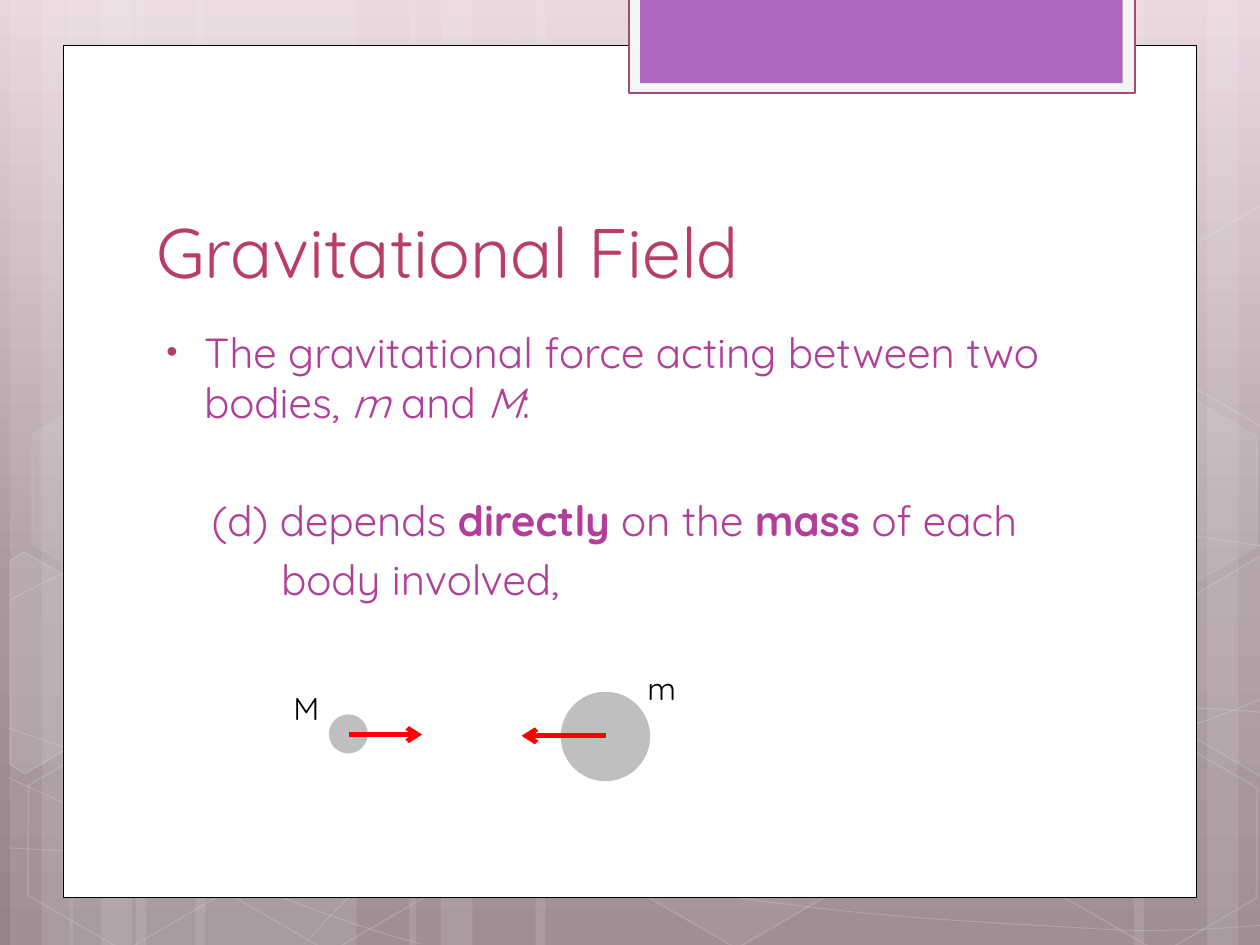
from copy import deepcopy

from lxml import etree
from pptx import Presentation
from pptx.dml.color import RGBColor
from pptx.enum.shapes import MSO_CONNECTOR, MSO_SHAPE
from pptx.enum.text import MSO_ANCHOR, MSO_AUTO_SIZE, PP_ALIGN
from pptx.oxml.ns import qn
from pptx.util import Inches, Pt

RECTANGLE, HEXAGON, OVAL = MSO_SHAPE.RECTANGLE, MSO_SHAPE.HEXAGON, MSO_SHAPE.OVAL
STRAIGHT = MSO_CONNECTOR.STRAIGHT
LEFT, TOP, BOTTOM = PP_ALIGN.LEFT, MSO_ANCHOR.TOP, MSO_ANCHOR.BOTTOM
NO_FIT = MSO_AUTO_SIZE.NONE

FONT = "Quicksand"
WHITE, ROSE, PURPLE, GREY, RED = "FFFFFF", "B83D68", "B13F9A", "BFBFBF", "FF0000"
BACKDROP = [(0, "E8D4DD"), (0.62, "A9969F"), (1, "96828B")]

# Left edge and width of each full-height band
STRIPES = [(1.08, 1.75), (0.08, 0.5), (0.33, 0.83), (1.55, 1.75), (0.55, 0.5),
           (0.8, 0.83), (7.33, 1.75), (9.58, 0.5), (9, 0.83), (4.25, 3.08),
           (3.25, 0.5), (3.5, 0.83)]
# Start point followed by Bezier segments (two handles and an end point)
CURVES = [
    [(0.07, 6.73), (0.61, 6.76), (1.15, 6.79), (1.9, 6.78), (2.65, 6.77),
     (3.58, 6.75), (4.58, 6.65), (5.58, 6.55), (7, 6.36), (7.92, 6.17),
     (8.83, 5.98), (9.77, 5.68), (10.07, 5.51)],
    [(0.07, 4.77), (0.36, 4.61), (0.65, 4.46), (1.21, 4.31), (1.78, 4.16),
     (2.59, 3.94), (3.47, 3.87), (4.36, 3.8), (5.44, 3.79), (6.54, 3.87),
     (7.64, 3.95), (9.47, 4.26), (10.07, 4.34)],
    [(0.06, 6.17), (1.27, 6.72), (2.47, 7.27), (3.34, 7.49)],
    [(0.07, 5.78), (0.38, 5.89), (0.7, 6), (1.28, 6.16), (1.86, 6.31),
     (2.73, 6.56), (3.57, 6.73), (4.4, 6.9), (5.45, 7.08), (6.28, 7.18),
     (7.11, 7.29), (8, 7.33), (8.53, 7.36), (9.05, 7.4), (9.19, 7.38),
     (9.45, 7.38), (9.71, 7.37), (9.89, 7.35), (10.07, 7.34)],
    [(2.42, 7.49), (2.6, 7.29), (2.78, 7.09), (3.02, 6.91), (3.26, 6.73),
     (3.6, 6.53), (3.88, 6.39), (4.16, 6.25), (4.33, 6.19), (4.7, 6.09),
     (5.06, 5.99), (5.73, 5.85), (6.08, 5.78), (6.44, 5.71), (6.49, 5.71),
     (6.8, 5.69), (7.11, 5.66), (7.6, 5.63), (7.94, 5.62), (8.29, 5.61),
     (8.86, 5.62), (8.86, 5.62), (9.08, 5.62), (9.31, 5.62), (9.53, 5.62),
     (9.71, 5.63), (9.88, 5.64), (9.97, 5.65), (10.06, 5.66), (10.03, 5.65),
     (10.06, 5.66)],
]
# Left, top, fill opacity (None for outline only), line opacity
HEXAGONS = [(3.34, 0.36, 4, 8), (4.97, 5.89, 6, 12), (0.11, 5.91, None, 12),
            (0.14, 3.12, 7, 8), (1.74, 5.92, None, 12), (7.53, 4.53, 10, 12),
            (8.34, 5.93, None, 12), (8.34, 3.14, 7, 8)]
# Hexagons cut off by the slide edge: corners and fill opacity
CUT_HEXAGONS = [
    ([(0.08, 4.45), (0.19, 4.38), (0.96, 4.82), (0.95, 5.7), (0.2, 6.14),
      (0.08, 6.07)], 10),
    ([(9.26, 4.85), (10.01, 4.41), (10.09, 4.46), (10.09, 6.13),
      (10.02, 6.17), (9.26, 5.73)], 4),
    ([(9.26, 2.07), (10.01, 1.63), (10.1, 1.68), (10.09, 3.35),
      (10.02, 3.39), (9.26, 2.95)], None),
]


def set_color(color, value):
    color.rgb = RGBColor.from_string(value)


def set_opacity(fill_parent, opacity):
    if opacity < 100:
        tint = fill_parent.find(qn("a:solidFill")).find(qn("a:srgbClr"))
        etree.SubElement(tint, qn("a:alpha")).set("val", str(opacity * 1000))


def paint(shape, fill=None, opacity=100, line=None, width=1, line_opacity=100):
    shape.shadow.inherit = False
    properties = shape.element.spPr
    if fill and opacity:
        shape.fill.solid()
        set_color(shape.fill.fore_color, fill)
        set_opacity(properties, opacity)
    else:
        shape.fill.background()
    if line:
        shape.line.width = Pt(width)
        set_color(shape.line.color, line)
        set_opacity(properties.find(qn("a:ln")), line_opacity)
    else:
        shape.line.fill.background()


def add_figure(page, kind, box, **style):
    shape = page.shapes.add_shape(kind, *map(Inches, box))
    paint(shape, **style)
    return shape


def add_outline(page, points, close, **style):
    corners = [(Inches(x), Inches(y)) for x, y in points]
    builder = page.shapes.build_freeform(*corners[0])
    builder.add_line_segments(corners[1:], close=close)
    shape = builder.convert_to_shape()
    paint(shape, **style)
    return shape


def add_curve(page, points, **style):
    shape = add_outline(page, points, False, **style)
    # Join each three line steps into one Bezier segment
    steps = list(shape.element.iter(qn("a:lnTo")))
    for first in range(0, len(steps), 3):
        bezier = etree.SubElement(steps[first].getparent(), qn("a:cubicBezTo"))
        for step in steps[first:first + 3]:
            bezier.append(step[0])
            step.getparent().remove(step)


def add_backdrop(page, height):
    # Gradient
    fill = page.background.fill
    fill.gradient()
    fill.gradient_angle = 270
    stop_list = next(page.element.iter(qn("a:gsLst")))
    stop_list.append(deepcopy(stop_list[0]))
    for stop, (position, color) in zip(fill.gradient_stops, BACKDROP):
        stop.position = position
        set_color(stop.color, color)
    # Bands, curves and hexagons
    for left, width in STRIPES:
        add_figure(page, RECTANGLE, (left, 0, width, height), fill=WHITE, opacity=10)
    for points in CURVES:
        add_curve(page, points, line=WHITE, width=0.5, line_opacity=20)
    for left, top, opacity, line_opacity in HEXAGONS:
        hexagon = add_figure(page, HEXAGON, (left, top, 1.75, 1.52), fill=WHITE,
                             opacity=opacity, line=WHITE, line_opacity=line_opacity)
        hexagon.adjustments[0] = 0.285
        hexagon.rotation = 30
    for points, opacity in CUT_HEXAGONS:
        add_outline(page, points, True, fill=WHITE, opacity=opacity, line=WHITE, line_opacity=12)


def add_card(page, box):
    left, top, width, height = box
    add_figure(page, RECTANGLE, box, fill=WHITE, line="000000", width=0.5)
    # Tab hanging from the top edge
    add_figure(page, RECTANGLE, (left + 4.49, -0.02, 4.02, 0.76), fill="F5F5F5",
               line="A34B73", width=1.25)
    add_figure(page, RECTANGLE, (left + 4.58, -0.02, 3.83, 0.68), fill="AC66BB")


def place_text(shape, box, anchor):
    shape.left, shape.top, shape.width, shape.height = map(Inches, box)
    shape.element.getparent().append(shape.element)  # bring to front
    frame = shape.text_frame
    frame.auto_size, frame.word_wrap, frame.vertical_anchor = NO_FIT, True, anchor
    return frame


def write(para, spans, size, color):
    para.alignment = LEFT
    for text, style in spans:
        span = para.add_run()
        span.text = text
        font = span.font
        font.name, font.size = FONT, Pt(size)
        font.bold, font.italic = style == "bold", style == "italic"
        set_color(font.color, color)


def add_title(page, box):
    frame = place_text(page.shapes.title, box, BOTTOM)
    write(frame.paragraphs[0], [("Gravitational Field", "")], 40, ROSE)


def add_body(page, box):
    frame = place_text(page.placeholders[1], box, TOP)
    # Spans, left margin, first-line indent, space before
    rows = [
        ([("The gravitational force acting between two bodies, ", ""), ("m ", "italic"),
          ("and ", ""), ("M", "italic"), (":", "")], 0.38, -0.3, 0),
        ([("(d) depends ", ""), ("directly", "bold"), (" on the ", ""),
          ("mass", "bold"), (" of each", "")], 0.44, 0, 38.4),
        ([("body involved,", "")], 0.99, 0, 4.8),
    ]
    for number, (spans, margin, indent, space) in enumerate(rows):
        para = frame.add_paragraph() if number else frame.paragraphs[0]
        properties = para._p.get_or_add_pPr()
        properties.set("marL", str(Inches(margin)))
        properties.set("indent", str(Inches(indent)))
        para.space_before = Pt(space)
        if indent:
            bullet_color = etree.SubElement(properties, qn("a:buClr"))
            etree.SubElement(bullet_color, qn("a:srgbClr")).set("val", ROSE)
            etree.SubElement(properties, qn("a:buSzPct")).set("val", "76000")
            etree.SubElement(properties, qn("a:buChar")).set("char", "•")
        else:
            etree.SubElement(properties, qn("a:buNone"))
        write(para, spans, 24, PURPLE)


def add_label(page, box, text):
    caption = page.shapes.add_textbox(*map(Inches, box))
    caption.text_frame.word_wrap = True
    write(caption.text_frame.paragraphs[0], [(text, "")], 18, "000000")


def add_force(page, start, reach):
    x, y = start
    arrow = page.shapes.add_connector(STRAIGHT, *map(Inches, (x, y, x + reach, y)))
    arrow.line.width = Pt(2.75)
    set_color(arrow.line.color, RED)
    properties = arrow.element.spPr
    etree.SubElement(properties.find(qn("a:ln")), qn("a:tailEnd")).set("type", "arrow")
    etree.SubElement(properties, qn("a:effectLst"))


def add_masses(page, box):
    left, top = box[:2]
    # Labels, bodies, then the forces that pull them together
    add_label(page, (left, top + 0.16, 0.47, 0.4), "M")
    add_label(page, (left + 2.81, top, 0.47, 0.4), "m")
    add_figure(page, OVAL, (left + 0.38, top + 0.41, 0.31, 0.31), fill=GREY)
    add_figure(page, OVAL, (left + 2.22, top + 0.23, 0.71, 0.71), fill=GREY)
    add_force(page, (left + 0.54, top + 0.57), 0.58)
    add_force(page, (left + 2.58, top + 0.58), -0.67)


def main():
    deck = Presentation()
    deck.slide_width, deck.slide_height = Inches(10), Inches(7.5)
    page = deck.slides.add_slide(deck.slide_layouts[1])
    add_backdrop(page, 7.5)
    add_card(page, (0.5, 0.36, 9, 6.76))
    add_title(page, (1.14, 1.12, 7.68, 1.25))
    add_body(page, (1.14, 2.54, 7.41, 3.84))
    add_masses(page, (2.23, 5.26, 3.28, 0.94))
    deck.save("out.pptx")


if __name__ == "__main__":
    main()
